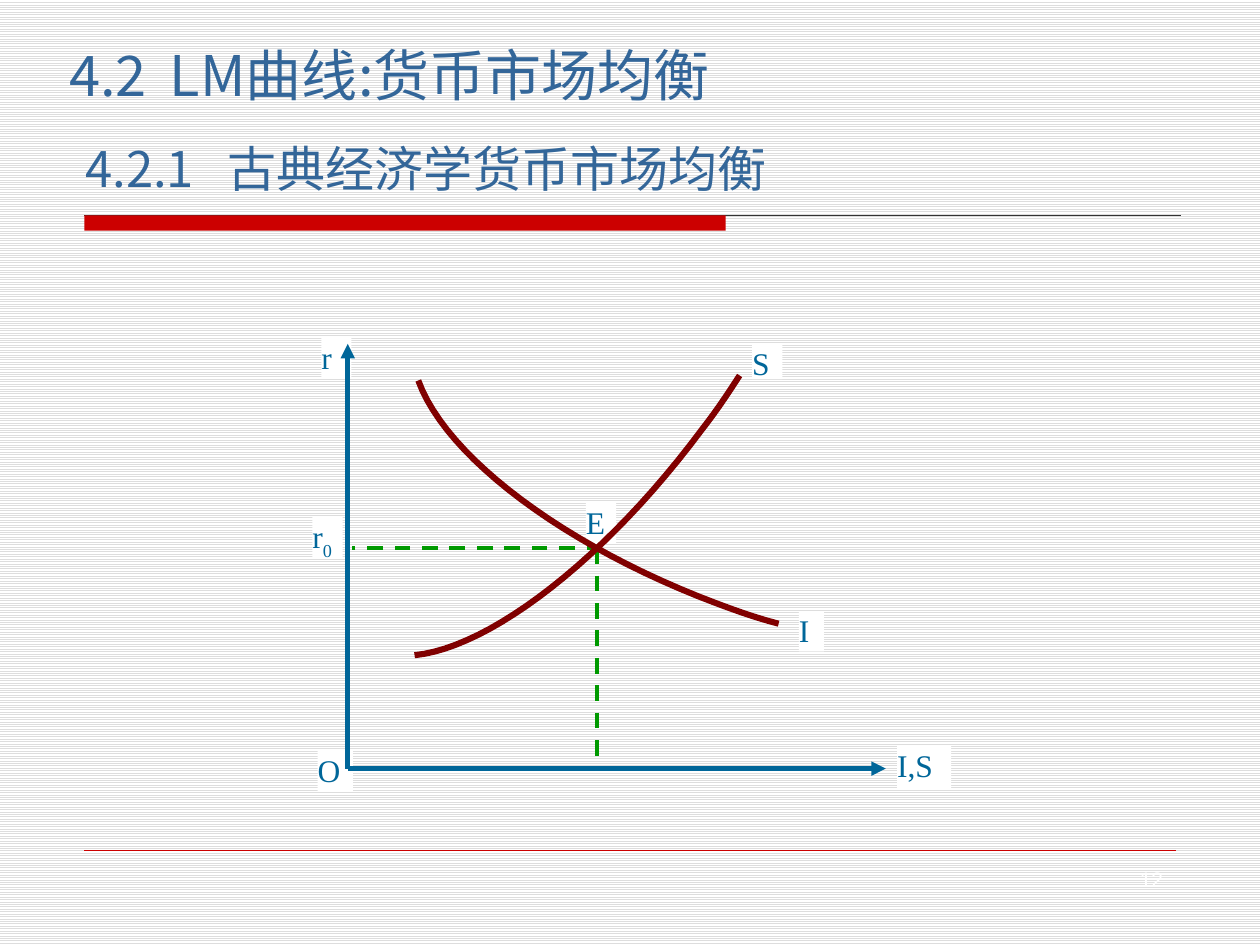
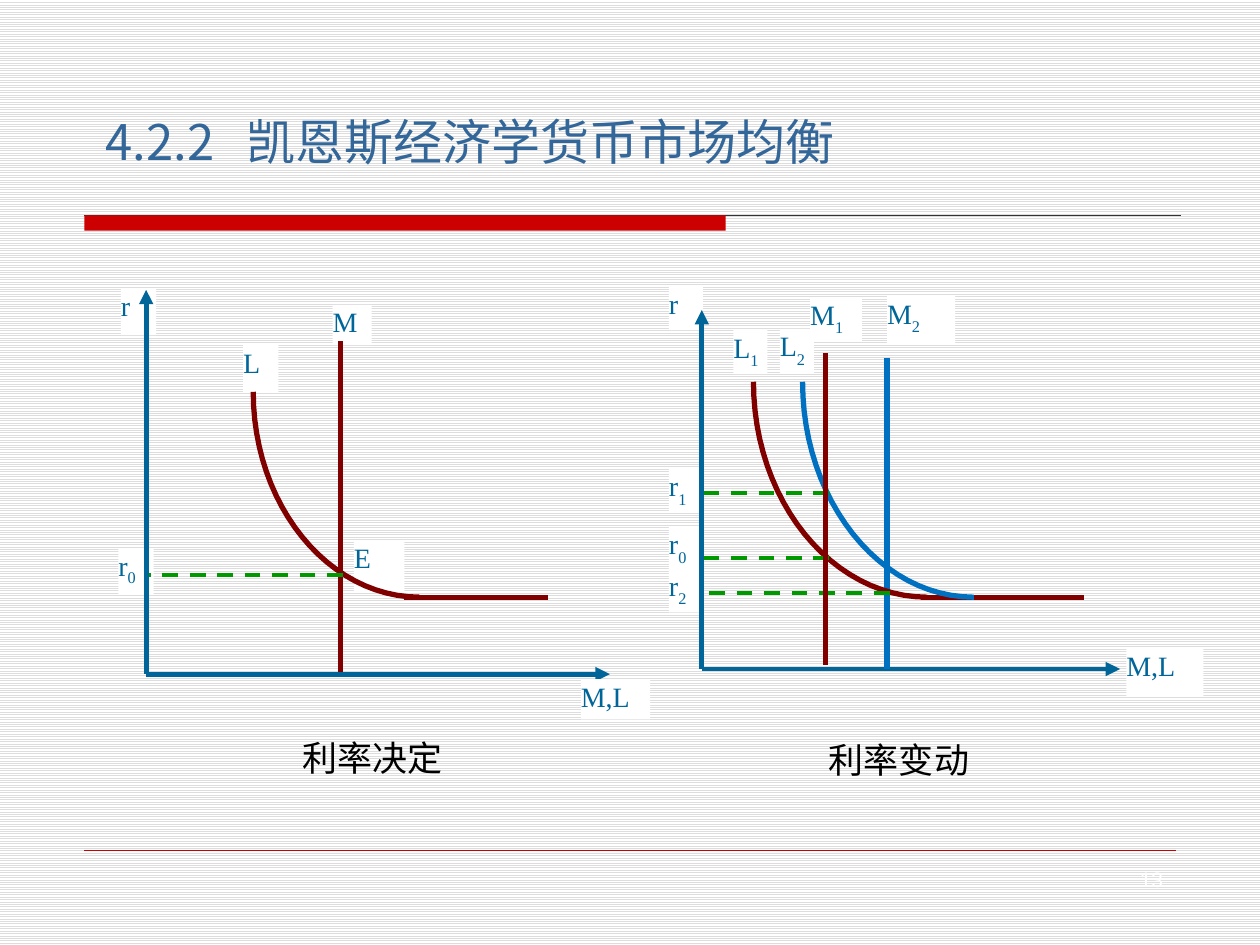
from dataclasses import dataclass

from lxml import etree
from pptx import Presentation
from pptx import util as u
from pptx.dml.color import RGBColor
from pptx.enum import dml, shapes, text
from pptx.oxml.ns import qn

COLUMNS, ROWS = 100, 75  # grid laid over the whole slide
WIDTH, HEIGHT = u.Inches(10), u.Inches(7.5)


@dataclass(frozen=True)
class Theme:
    # Colours
    paper: str = "FFFFFF"
    stripe: str = "DDDDDD"
    band: str = "CC0000"
    rule: str = "333333"
    title: str = "336699"
    axis: str = "006699"
    curve: str = "800000"
    shifted: str = "0070C0"
    guide: str = "009900"
    ink: str = "000000"
    # Fonts and type sizes
    heading_font: str = "Noto Sans CJK SC"
    label_font: str = "Times New Roman"
    number_font: str = "Arial"
    title_size: int = 32
    subtitle_size: int = 28
    caption_size: int = 20
    number_size: int = 12
    # Line widths
    axis_width: float = 2.75
    guide_width: float = 2.25


def color(value):
    return RGBColor.from_string(value)


def write_text(frame, content, *, font, size, ink, subscript="", drop=-30,
               insets=(0.1, 0.05, 0.1, 0.05), anchor=text.MSO_ANCHOR.MIDDLE,
               align=text.PP_ALIGN.LEFT, spacing=1.0, tab=None, shadow=False):
    """Fill a text frame with one paragraph and an optional subscript."""
    frame.word_wrap = True
    frame.vertical_anchor = anchor
    (frame.margin_left, frame.margin_top,
     frame.margin_right, frame.margin_bottom) = map(u.Inches, insets)
    paragraph = frame.paragraphs[0]
    paragraph.alignment = align
    paragraph.line_spacing = spacing
    if tab is not None:
        stops = etree.SubElement(paragraph._p.get_or_add_pPr(), qn("a:tabLst"))
        etree.SubElement(stops, qn("a:tab"), pos=str(u.Inches(tab)), algn="l")
    for part, baseline in ((content, 0), (subscript, drop)):
        if not part:
            continue
        run = paragraph.add_run()
        run.text = part
        run.font.name, run.font.size = font, u.Pt(size)
        run.font.color.rgb = color(ink)
        properties = run._r.get_or_add_rPr()
        if baseline:
            properties.set("baseline", str(baseline * 1000))
        latin = properties.find(qn("a:latin"))
        latin.addnext(etree.Element(qn("a:ea"), typeface=font))
        if shadow:
            effects = etree.Element(qn("a:effectLst"))
            outer = etree.SubElement(effects, qn("a:outerShdw"),
                                     dist="35921", dir="2700000")
            etree.SubElement(outer, qn("a:srgbClr"), val="C0C0C0")
            latin.addprevious(effects)


def bezier(start, first, second, end, steps=24):
    """Points along a cubic curve, both ends included."""
    for step in range(steps + 1):
        t = step / steps
        weights = ((1 - t) ** 3, 3 * t * (1 - t) ** 2,
                   3 * t * t * (1 - t), t ** 3)
        yield tuple(sum(weight * value for weight, value in zip(weights, axis))
                    for axis in zip(start, first, second, end))


class Deck:
    """Holds the theme and the slide being drawn; places are columns, rows."""

    def __init__(self, presentation, theme):
        self.presentation, self.theme = presentation, theme
        self.slide = None

    @staticmethod
    def x(columns):
        return round(WIDTH * columns / COLUMNS)

    @staticmethod
    def y(rows):
        return round(HEIGHT * rows / ROWS)

    def box(self, left, top, width, height):
        return self.x(left), self.y(top), self.x(width), self.y(height)

    def new_slide(self, number):
        theme = self.theme
        self.slide = self.presentation.slides.add_slide(
            self.presentation.slide_layouts[6])
        fill = self.slide.background.fill
        fill.patterned()
        fill.pattern = dml.MSO_PATTERN.LIGHT_HORIZONTAL
        fill.fore_color.rgb = color(theme.stripe)
        fill.back_color.rgb = color(theme.paper)
        # Title band, footer rule and page number
        self.line((6.7, 17.1), (93.7, 17.1), theme.rule, 0.75)
        self.rectangle(6.7, 17.1, 50.9, 1.2, theme.band)
        self.line((6.7, 67.5), (93.3, 67.5), theme.band, 0.25)
        self.text_box(str(number), 83.3, 68.3, 10, 3, font=theme.number_font,
                      size=theme.number_size, ink=theme.paper,
                      align=text.PP_ALIGN.RIGHT)

    def rectangle(self, left, top, width, height, fill):
        shape = self.slide.shapes.add_shape(
            shapes.MSO_SHAPE.RECTANGLE, *self.box(left, top, width, height))
        shape.shadow.inherit = False
        shape.fill.solid()
        shape.fill.fore_color.rgb = color(fill)
        shape.line.fill.background()
        return shape

    def text_box(self, content, left, top, width, height, **style):
        shape = self.slide.shapes.add_textbox(
            *self.box(left, top, width, height))
        write_text(shape.text_frame, content, **style)

    def title(self, content, left, top, width, height, size, **style):
        self.text_box(content, left, top, width, height, size=size,
                      font=self.theme.heading_font, ink=self.theme.title,
                      shadow=True, **style)

    def caption(self, content, left, top):
        self.text_box(content, left, top, 33.1, 4.2,
                      font=self.theme.heading_font,
                      size=self.theme.caption_size, ink=self.theme.ink,
                      align=text.PP_ALIGN.CENTER)

    def label(self, content, left, top, width, height, size,
              subscript="", **style):
        shape = self.rectangle(left, top, width, height, self.theme.paper)
        write_text(shape.text_frame, content, subscript=subscript, size=size,
                   font=self.theme.label_font, ink=self.theme.axis,
                   insets=(0, 0, 0, 0), anchor=text.MSO_ANCHOR.TOP, **style)

    def line(self, start, end, ink, width, dashed=False, arrow=False):
        connector = self.slide.shapes.add_connector(
            shapes.MSO_CONNECTOR.STRAIGHT, self.x(start[0]), self.y(start[1]),
            self.x(end[0]), self.y(end[1]))
        connector.line.color.rgb = color(ink)
        connector.line.width = u.Pt(width)
        if dashed:
            connector.line.dash_style = dml.MSO_LINE.DASH
        properties = connector._element.spPr
        if arrow:
            etree.SubElement(properties.find(qn("a:ln")), qn("a:tailEnd"),
                             type="triangle")
        etree.SubElement(properties, qn("a:effectLst"))

    def axes(self, origin, top, right):
        for tip in ((origin[0], top), (right, origin[1])):
            self.line(origin, tip, self.theme.axis, self.theme.axis_width,
                      arrow=True)

    def guide(self, start, end):
        self.line(start, end, self.theme.guide, self.theme.guide_width,
                  dashed=True)

    def curve(self, knots, ink, width):
        """Draw joined cubic curves; knots lists ends and handles in turn."""
        points = [(self.x(column), self.y(row))
                  for index in range(0, len(knots) - 1, 3)
                  for column, row in bezier(*knots[index:index + 4])]
        builder = self.slide.shapes.build_freeform(*points[0], scale=1.0)
        builder.add_line_segments(points[1:], close=False)
        shape = builder.convert_to_shape()
        shape.shadow.inherit = False
        shape.fill.background()
        shape.line.color.rgb = color(ink)
        shape.line.width = u.Pt(width)

    def quarter_curve(self, left, top, right, bottom, ink, width):
        reach = 0.55
        self.curve([(right, bottom),
                    (right - reach * (right - left), bottom),
                    (left, top + reach * (bottom - top)),
                    (left, top)], ink, width)


def classical_market(deck):
    theme = deck.theme
    deck.new_slide(12)
    deck.title("4.2.1\t古典经济学货币市场均衡", 5.8, 11.3, 59.5, 4.7,
               theme.subtitle_size, spacing=0.9, tab=1.13)
    deck.title("4.2\tLM曲线:货币市场均衡", 4.5, 3.4, 57.5, 5.9,
               theme.title_size, spacing=0.8, tab=0.8)

    # Labels
    for content, subscript, *place in (
            ("O", "", 25.2, 59.6, 2.8, 3.2), ("E", "", 46.5, 39.9, 2.4, 3.2),
            ("r", "", 25.5, 26.8, 2.4, 3.2), ("r", "0", 24.8, 41, 2.4, 3.2),
            ("S", "", 59.7, 27.3, 2.4, 2.8), ("I", "", 63.4, 48.5, 2, 3.2),
            ("I,S", "", 71.2, 59.2, 4.3, 3.5)):
        deck.label(content, *place, 18, subscript)

    # Axes, guides to the equilibrium, investment and saving curves
    deck.axes((27.6, 61), 27.3, 70.3)
    deck.guide((47.4, 43.5), (47.4, 60.8))
    deck.guide((47.8, 43.5), (27.9, 43.5))
    investment = [(61.8, 49.5), (60.2, 49.1), (58.5, 48.5), (56.9, 47.9),
                  (44.9, 43.4), (35.4, 36.3), (33.2, 30.2)]
    saving = [(58.7, 29.8), (57.8, 31.2), (56.8, 32.7), (55.7, 34.1),
              (48.2, 44.2), (39, 51.4), (32.9, 52)]
    for knots in (investment, saving):
        deck.curve(knots, theme.curve, 3.5)


def keynesian_market(deck):
    theme = deck.theme
    size, width = 16, 3
    deck.new_slide(13)
    deck.title("4.2.2\t凯恩斯经济学货币市场均衡", 7.4, 9.1, 65.5, 4.7,
               theme.subtitle_size, spacing=0.9, tab=1.12)
    deck.caption("利率决定", 13, 58)
    deck.caption("利率变动", 54.8, 58.2)

    # Left diagram: how the rate is set
    for content, *place in (
            ("r", 9.6, 22.9, 2.8, 3.7), ("M", 26.4, 24.2, 3.1, 3.2),
            ("E", 28.1, 42.9, 4, 4.1), ("L", 19.3, 27.4, 2.8, 3.7)):
        deck.label(content, *place, size)
    deck.label("r", 9.4, 43.5, 2.8, 3.7, size, "0", drop=-25)
    deck.line((27, 27.1), (27, 53.5), theme.curve, width)
    deck.line((32.1, 47.4), (43.5, 47.4), theme.curve, width)
    deck.quarter_curve(20.1, 31.1, 33.3, 47.4, theme.curve, width)
    deck.guide((27.2, 45.6), (11.6, 45.6))
    deck.axes((11.6, 53.5), 23, 48.4)
    deck.label("M,L", 46.1, 53.9, 5.5, 3.2, size)

    # Right diagram: how the rate moves
    for subscript, top in (("0", 41.8), ("2", 45.1), ("1", 37.2), ("", 22.7)):
        deck.label("r", 53.1, top, 2.7, 3.5, size, subscript)
    for content, subscript, *place in (
            ("M", "1", 64.3, 23.6, 4.1, 3.5), ("L", "1", 58.2, 26.2, 2.7, 3.5),
            ("L", "2", 61.9, 26.1, 2.7, 3.5), ("M", "2", 70.4, 23.5, 5.4, 3.8),
            ("M,L", "", 89.4, 51.5, 6.1, 3.8)):
        deck.label(content, *place, size, subscript)
    deck.axes((55.7, 53.1), 24.6, 88.9)
    deck.line((70.4, 28.4), (70.4, 53.1), theme.shifted, width)
    deck.line((73.1, 47.4), (86, 47.4), theme.curve, width)
    deck.quarter_curve(59.8, 30.3, 73.6, 47.4, theme.curve, width)
    deck.quarter_curve(63.7, 30.3, 77.3, 47.4, theme.shifted, width)
    for right, row in ((70.6, 47.1), (65.8, 39.1), (65.8, 44.3)):
        deck.guide((right, row), (55.7, row))
    deck.line((65.5, 28), (65.5, 52.8), theme.curve, width)


def main():
    presentation = Presentation()
    presentation.slide_width, presentation.slide_height = WIDTH, HEIGHT
    deck = Deck(presentation, Theme())
    classical_market(deck)
    keynesian_market(deck)
    presentation.save("out.pptx")


if __name__ == "__main__":
    main()
